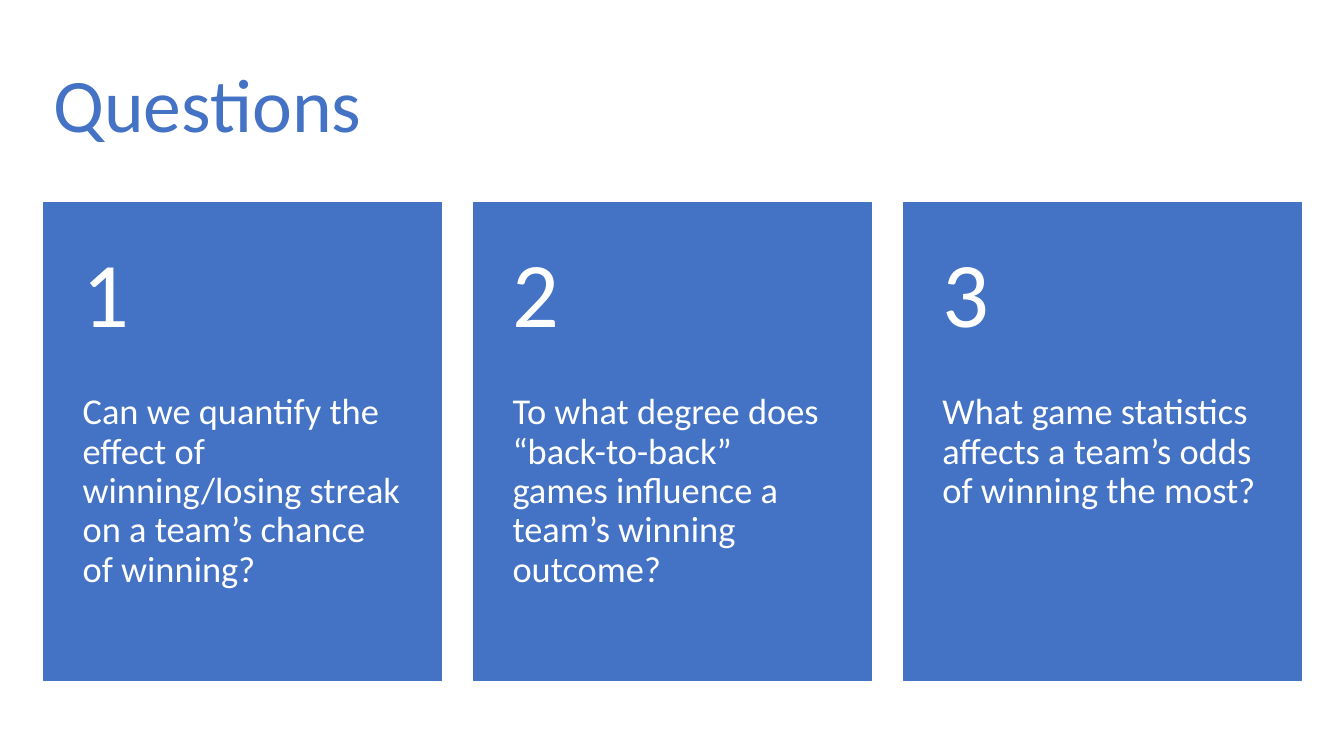
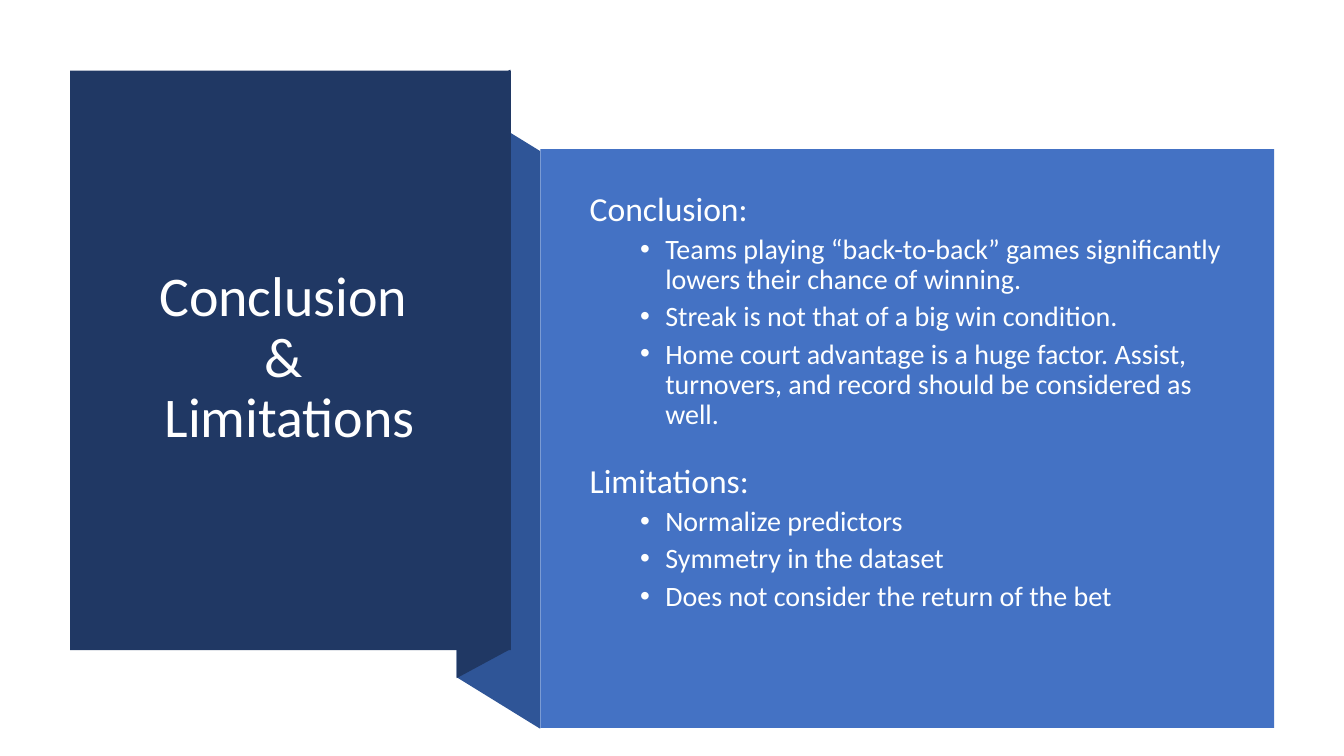
from lxml.etree import SubElement
from pptx import Presentation
from pptx.dml.color import RGBColor
from pptx.enum.shapes import MSO_SHAPE
from pptx.enum.text import MSO_ANCHOR, MSO_AUTO_SIZE, PP_ALIGN
from pptx.oxml.ns import qn
from pptx.util import Pt

BLUE = RGBColor(0x44, 0x72, 0xC4)
MID_BLUE = RGBColor(0x2F, 0x55, 0x97)
NAVY = RGBColor(0x20, 0x38, 0x64)
WHITE = RGBColor(0xFF, 0xFF, 0xFF)
OFF_WHITE = RGBColor(0xFE, 0xFF, 0xFF)

TITLE_ONLY, TITLE_AND_BODY = 5, 1


class Deck:
    """Holds the style and the current slide; all lengths are in points."""

    font = "Calibri"
    line_spacing = 0.9

    def __init__(self):
        self.prs = Presentation()
        self.prs.slide_width, self.prs.slide_height = Pt(960), Pt(540)
        self.s = None

    def new_slide(self, layout):
        self.s = self.prs.slides.add_slide(self.prs.slide_layouts[layout])

    def place(self, sp, box):
        sp.left, sp.top, sp.width, sp.height = map(Pt, box)
        # Draw the placeholder in front of the shapes added so far
        self.s.shapes._spTree.append(sp._element)

    def frame(self, sp, anchor):
        tf = sp.text_frame
        tf.word_wrap = True
        tf.auto_size = MSO_AUTO_SIZE.NONE
        tf.vertical_anchor = anchor
        return tf

    def add_lines(self, p, lines, size, color, align=PP_ALIGN.LEFT, before=0):
        p.alignment = align
        p.line_spacing = self.line_spacing
        p.space_before = Pt(before)
        for i, line in enumerate(lines):
            if i:
                p.add_line_break()
            r = p.add_run()
            r.text = line
            r.font.name, r.font.size = self.font, Pt(size)
            r.font.color.rgb = color

    def title(self, lines, box, size, color, align=PP_ALIGN.LEFT):
        sp = self.s.shapes.title
        self.place(sp, box)
        tf = self.frame(sp, MSO_ANCHOR.MIDDLE)
        self.add_lines(tf.paragraphs[0], lines, size, color, align)

    def paint(self, sp, fill, line=None):
        sp.shadow.inherit = False
        sp.fill.solid()
        sp.fill.fore_color.rgb = fill
        if line is None:
            sp.line.fill.background()
        else:
            sp.line.color.rgb, sp.line.width = line, Pt(1)

    def rect(self, box, fill, line=None):
        sp = self.s.shapes.add_shape(MSO_SHAPE.RECTANGLE, *map(Pt, box))
        self.paint(sp, fill, line)

    def polygon(self, points, fill):
        start, *rest = [(Pt(x), Pt(y)) for x, y in points]
        builder = self.s.shapes.build_freeform(*start)
        builder.add_line_segments(rest, close=True)
        self.paint(builder.convert_to_shape(), fill)

    def text(self, text, box, size, margins, anchor=MSO_ANCHOR.TOP):
        tf = self.frame(self.s.shapes.add_textbox(*map(Pt, box)), anchor)
        (tf.margin_left, tf.margin_top,
         tf.margin_right, tf.margin_bottom) = map(Pt, margins)
        self.add_lines(tf.paragraphs[0], [text], size, WHITE)

    def bullet(self, p, char, left, hanging):
        pPr = p._p.get_or_add_pPr()
        pPr.set("marL", str(Pt(left)))
        pPr.set("indent", str(-Pt(hanging)))
        if char:
            SubElement(pPr, qn("a:buFont"), typeface="Arial")
            SubElement(pPr, qn("a:buChar"), char=char)
        else:
            SubElement(pPr, qn("a:buNone"))

    def body(self, sections, box):
        sp = self.s.placeholders[1]
        self.place(sp, box)
        tf = self.frame(sp, MSO_ANCHOR.MIDDLE)
        for i, (heading, items) in enumerate(sections):
            p = tf.add_paragraph() if i else tf.paragraphs[0]
            self.bullet(p, None, 0, 0)
            self.add_lines(p, [heading], 24, OFF_WHITE, before=24 if i else 0)
            for item in items:
                p = tf.add_paragraph()
                p.level = 1
                self.bullet(p, "•", 54, 18)
                self.add_lines(p, [item], 20, OFF_WHITE, before=5)


def questions(deck):
    deck.new_slide(TITLE_ONLY)
    deck.title(["Questions"], (31, 25.2, 898.6, 104.4), 54, BLUE)

    # Three numbered cards
    left, top, width, height = 31, 144.7, 284.4, 341.3
    pitch, number_height = 307.1, 136.4
    cards = [
        "Can we quantify the effect of winning/losing streak on a team’s "
        "chance of winning?",
        "To what degree does “back-to-back” games influence a team’s "
        "winning outcome?",
        "What game statistics affects a team’s odds of winning the most?",
    ]
    for i, question in enumerate(cards):
        x = left + i * pitch
        deck.rect((x, top, width, height), BLUE, BLUE)
        deck.text(question,
                  (x, top + number_height, width, height - number_height),
                  26, (28, 0, 28, 26))
        deck.text(str(i + 1), (x, top, width, number_height),
                  66, (28, 13, 28, 13), MSO_ANCHOR.MIDDLE)


def conclusion(deck):
    deck.new_slide(TITLE_AND_BODY)

    # Folded ribbon: side, fold and front
    deck.polygon([(385.9, 520.6), (326.2, 483.8), (326.2, 71.3),
                  (385.9, 108)], MID_BLUE)
    deck.polygon([(364.6, 463.7), (326.2, 484.4), (326.2, 70.6),
                  (364.6, 49.7)], NAVY)
    deck.rect((50, 50.4, 315, 414), NAVY)
    deck.title(["Conclusion ", "& ", "Limitations"],
               (73.4, 77, 267.1, 359.3), 40, WHITE, PP_ALIGN.CENTER)

    # Findings panel
    deck.rect((385.9, 106.6, 524.2, 413.3), BLUE)
    deck.body([
        ("Conclusion:", [
            "Teams playing “back-to-back” games significantly lowers their "
            "chance of winning.",
            "Streak is not that of a big win condition.",
            "Home court advantage is a huge factor. Assist, turnovers, and "
            "record should be considered as well.",
        ]),
        ("Limitations:", [
            "Normalize predictors",
            "Symmetry in the dataset",
            "Does not consider the return of the bet",
        ]),
    ], (414, 127.4, 468.7, 319.7))


def main():
    deck = Deck()
    questions(deck)
    conclusion(deck)
    deck.prs.save("out.pptx")


if __name__ == "__main__":
    main()
